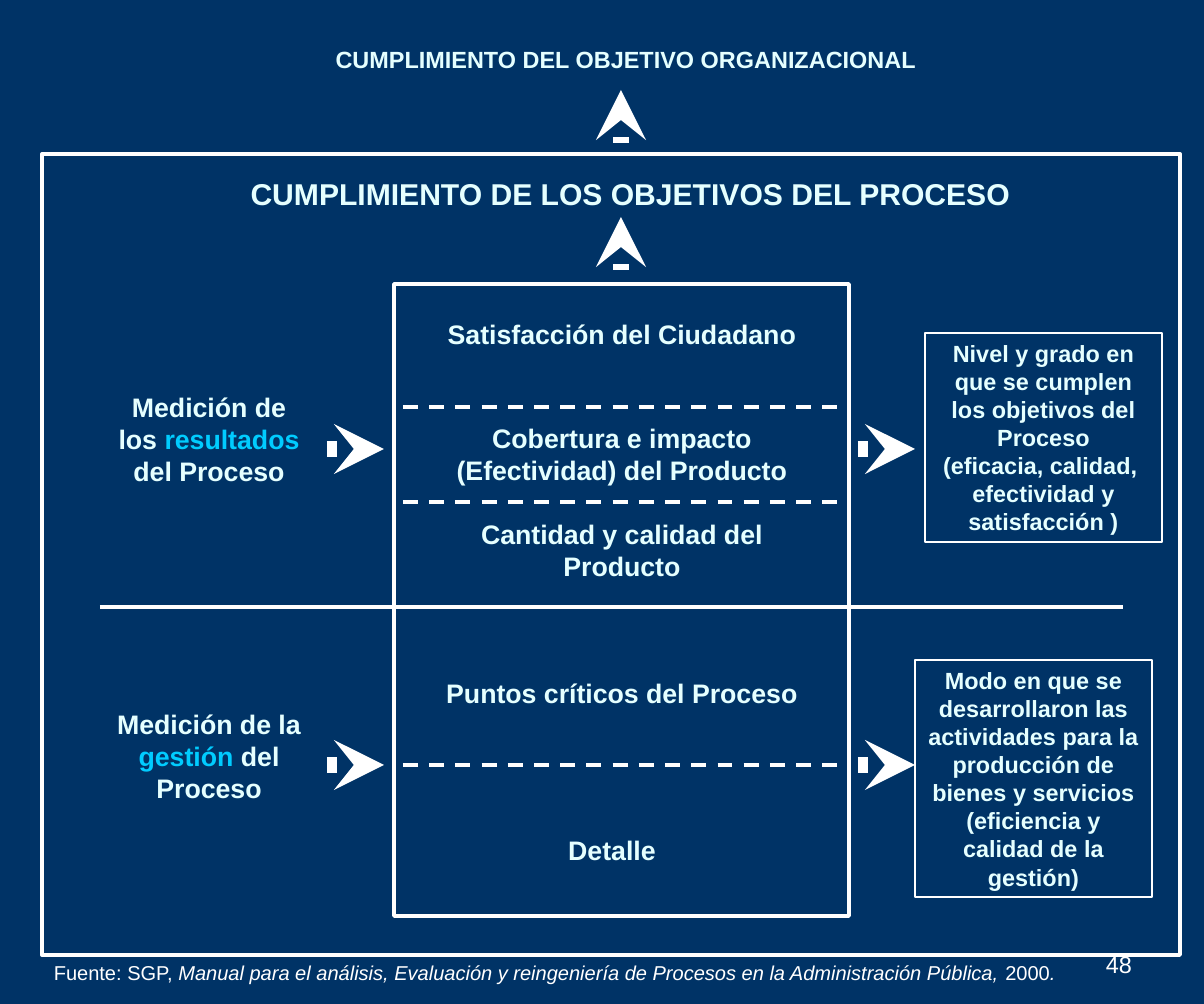
from lxml.etree import SubElement
from pptx import Presentation
from pptx.dml.color import RGBColor
from pptx.enum.dml import MSO_LINE
from pptx.enum.shapes import MSO_CONNECTOR, MSO_SHAPE
from pptx.enum.text import MSO_ANCHOR, MSO_AUTO_SIZE, PP_ALIGN
from pptx.oxml.ns import qn
from pptx.util import Pt

PX = 914400 / 120.4
NAVY, WHITE, PALE, CYAN = "003366", "FFFFFF", "E5FFFF", "00CCFF"

# Content: box (left, top, width, height) in px, font size, runs
HEADINGS = [
    ((242, 39, 768, 41), 14, "CUMPLIMIENTO DEL OBJETIVO ORGANIZACIONAL"),
    ((223, 170, 815, 48), 18, "CUMPLIMIENTO DE LOS OBJETIVOS DEL PROCESO"),
]
MEASURES = [
    (385, [("Medición de los ", PALE), ("resultados", CYAN), (" del Proceso", PALE)]),
    (702, [("Medición de la ", PALE), ("gestión ", CYAN), ("del Proceso", PALE)]),
]
STAGES = [
    (413, 312, 45, "Satisfacción del Ciudadano"),
    (413, 416, 77, "Cobertura e impacto (Efectividad) del Producto"),
    (413, 512, 77, "Cantidad y calidad del Producto"),
    (413, 671, 45, "Puntos críticos del Proceso"),
    (403, 828, 45, "Detalle"),
]
OUTCOMES = [
    ((925, 333, 237, 209),
     ["Nivel y grado en que se cumplen los objetivos del Proceso",
      "(eficacia, calidad,  efectividad y satisfacción )"]),
    ((915, 660, 237, 237),
     ["Modo en que se desarrollaron las actividades para la producción de bienes y servicios",
      "(eficiencia y calidad de la gestión)"]),
]
SOURCE = [
    ("Fuente: SGP, ", False),
    ("Manual para el análisis, Evaluación y reingeniería de Procesos "
     "en la Administración Pública, ", True),
    ("2000", False),
    (".", True),
]
PAGE_NUMBER = "48"

FRAME = (42, 154, 1138, 801)
PROCESS = (394, 284, 455, 632)
UP_ARROW_X, UP_ARROW_STARTS, UP_ARROW_LENGTH = 621, (270, 143), 53
RIGHT_ARROW_STARTS, RIGHT_ARROW_ROWS, RIGHT_ARROW_LENGTH = (327, 858), (449, 765), 57
DASH_ROWS = (407, 502, 765)


def emu(*lengths):
    return [round(length * PX) for length in lengths]


def color(value):
    return RGBColor.from_string(value)


def add_box(box, width):
    shape = slide.shapes.add_shape(MSO_SHAPE.RECTANGLE, *emu(*box))
    shape.shadow.inherit = False
    shape.fill.background()
    shape.line.color.rgb = color(WHITE)
    shape.line.width = Pt(width)
    return shape


def add_line(start, end, width=2.25, dashed=False, arrow=False):
    connector = slide.shapes.add_connector(MSO_CONNECTOR.STRAIGHT, *emu(*start, *end))
    connector.line.color.rgb = color(WHITE)
    connector.line.width = Pt(width)
    if dashed:
        connector.line.dash_style = MSO_LINE.DASH
    if arrow:
        SubElement(connector.line._get_or_add_ln(), qn("a:tailEnd"), type="stealth")
    SubElement(connector._element.spPr, qn("a:effectLst"))


def set_frame(shape, alignment=PP_ALIGN.CENTER, anchor=MSO_ANCHOR.TOP,
              auto_size=MSO_AUTO_SIZE.SHAPE_TO_FIT_TEXT):
    frame = shape.text_frame
    frame.word_wrap = True
    frame.auto_size = auto_size
    frame.vertical_anchor = anchor
    frame.paragraphs[0].alignment = alignment
    return frame.paragraphs[0]


def add_text(box, **options):
    return set_frame(slide.shapes.add_textbox(*emu(*box)), **options)


def add_run(paragraph, text, size, fill=PALE, bold=True, italic=False):
    run = paragraph.add_run()
    run.text = text
    run.font.name = "Arial"
    run.font.size = Pt(size)
    run.font.bold = bold
    run.font.italic = italic
    run.font.color.rgb = color(fill)


presentation = Presentation()
presentation.slide_width, presentation.slide_height = emu(1204, 1004)
slide = presentation.slides.add_slide(presentation.slide_layouts[6])
slide.background.fill.solid()
slide.background.fill.fore_color.rgb = color(NAVY)

# Frame, divider and process column
add_box(FRAME, 2.25)
add_line((100, 607), (1123, 607))
add_box(PROCESS, 2.25)
for y in DASH_ROWS:
    add_line((403, y), (839, y), dashed=True)

# Arrows
for y in UP_ARROW_STARTS:
    add_line((UP_ARROW_X, y), (UP_ARROW_X, y - UP_ARROW_LENGTH), 10, arrow=True)
for x in RIGHT_ARROW_STARTS:
    for y in RIGHT_ARROW_ROWS:
        add_line((x, y), (x + RIGHT_ARROW_LENGTH, y), 10, arrow=True)

# Headings, measures and stages
for box, size, text in HEADINGS:
    add_run(add_text(box), text, size)
for top, runs in MEASURES:
    paragraph = add_text((100, top, 218, 108))
    for text, fill in runs:
        add_run(paragraph, text, 16, fill)
for left, top, height, text in STAGES:
    add_run(add_text((left, top, 418, height)), text, 16)

# Outcome boxes
for box, (summary, detail) in OUTCOMES:
    paragraph = set_frame(add_box(box, 0.75))
    add_run(paragraph, summary, 14)
    paragraph.add_line_break()
    add_run(paragraph, detail, 14)

# Source and page number
paragraph = add_text((42, 955, 1162, 36), alignment=PP_ALIGN.LEFT)
for text, italic in SOURCE:
    add_run(paragraph, text, 12, WHITE, bold=False, italic=italic)
paragraph = add_text((863, 914, 281, 70), alignment=PP_ALIGN.RIGHT,
                     anchor=MSO_ANCHOR.BOTTOM, auto_size=MSO_AUTO_SIZE.NONE)
add_run(paragraph, PAGE_NUMBER, 14, WHITE, bold=False)

presentation.save("out.pptx")
